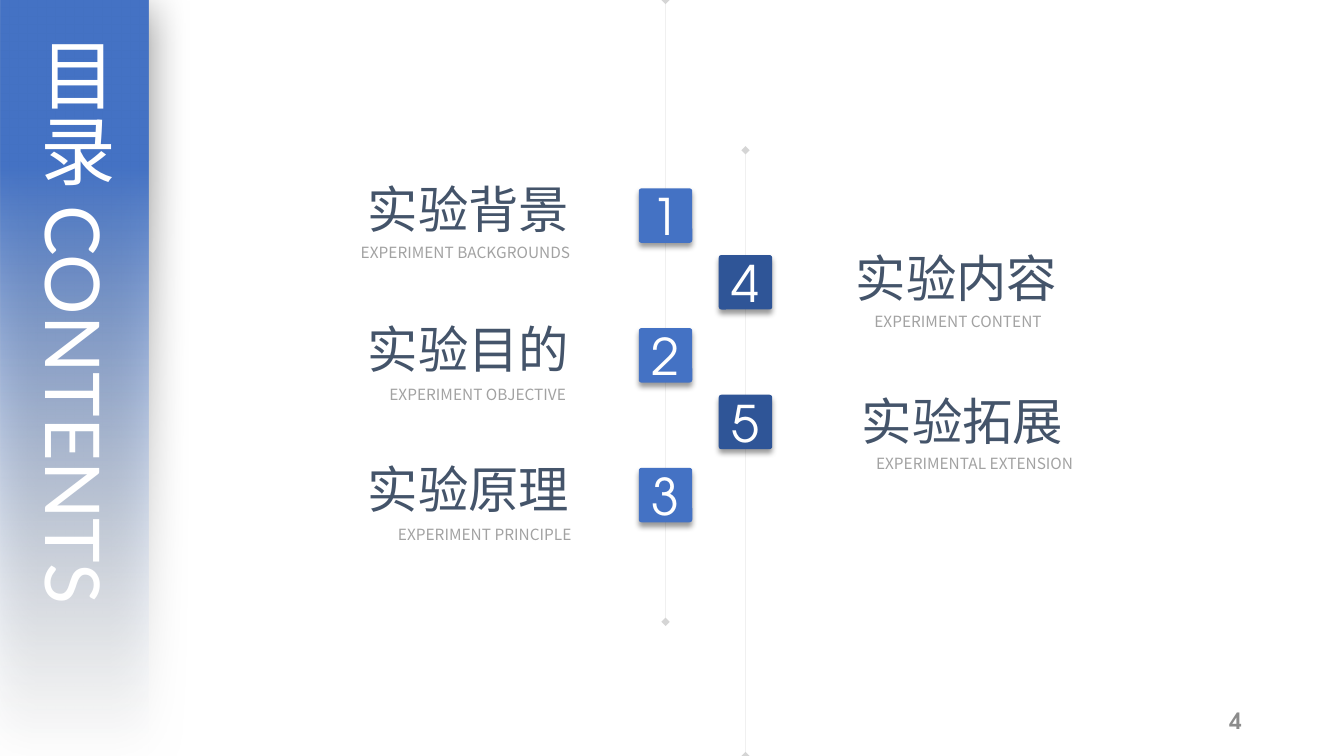
from dataclasses import dataclass

from lxml import etree
from pptx import Presentation
from pptx import util as u
from pptx.dml.color import RGBColor
from pptx.enum import shapes, text
from pptx.oxml import ns

WHITE = RGBColor(0xFF, 0xFF, 0xFF)
BLACK = RGBColor(0x00, 0x00, 0x00)
PALE = RGBColor(0xF7, 0xFA, 0xFD)
BLUE = RGBColor(0x44, 0x72, 0xC4)
DARK_BLUE = RGBColor(0x2F, 0x55, 0x97)
SLATE = RGBColor(0x44, 0x54, 0x6A)
CAPTION_GREY = RGBColor(0xA2, 0xA2, 0xA2)
NUMBER_GREY = RGBColor(0x8C, 0x8C, 0x8C)
LINE_GREY = RGBColor(0x80, 0x80, 0x80)

CHINESE = "Noto Sans CJK SC"
LATIN = "Lato"
DIGITS = "TeX Gyre Adventor"

BADGE_WIDTH, BADGE_HEIGHT = 38.2, 38.9
ROW_STEP = 99.8
HEADING_SIZE = (160, 51)
CAPTION_HEIGHT = 21


@dataclass(frozen=True)
class Column:
    axis: float
    line_top: float
    line_bottom: float
    first_badge_top: float
    colour: RGBColor


@dataclass(frozen=True)
class Entry:
    column: Column
    row: int
    number: str
    heading: str
    heading_at: tuple[float, float]
    caption: str
    caption_at: tuple[float, float]
    caption_width: float


@dataclass(frozen=True)
class Shadow:
    opacity: int
    blur: float
    distance: float
    angle: int


@dataclass(frozen=True)
class Style:
    size: float
    font: str
    colour: RGBColor
    bold: bool = False


LEFT = Column(475.4, 0, 444.2, 134.6, BLUE)
RIGHT = Column(532.5, 107.3, 540, 182.2, DARK_BLUE)
ENTRIES = (
    Entry(LEFT, 0, "1", "实验背景", (255.6, 123.4), "EXPERIMENT BACKGROUNDS", (246.2, 169.9), 172.8),
    Entry(LEFT, 1, "2", "实验目的", (255.6, 223.6), "EXPERIMENT OBJECTIVE", (269.3, 271.7), 144),
    Entry(LEFT, 2, "3", "实验原理", (255.6, 323.4), "EXPERIMENT PRINCIPLE", (275, 371.5), 142.6),
    Entry(RIGHT, 0, "4", "实验内容", (604.1, 172.8), "EXPERIMENT CONTENT", (614.2, 219.6), 140.4),
    Entry(RIGHT, 1, "5", "实验拓展", (608.4, 275), "EXPERIMENTAL EXTENSION", (614.9, 321.1), 162.7),
)
BAND_SHADOW = Shadow(50, 31, 6, 97)
BADGE_SHADOW = Shadow(40, 4, 3, 90)
HEADING = Style(36, CHINESE, SLATE)
CAPTION = Style(11, CHINESE, CAPTION_GREY)
BADGE = Style(36, DIGITS, WHITE)
PAGE_NUMBER = Style(16, DIGITS, NUMBER_GREY, bold=True)


def add_element(parent, tag: str, **attributes):
    return etree.SubElement(parent, ns.qn(tag), {key: str(value) for key, value in attributes.items()})


def set_opacity(colour_element, percent: int) -> None:
    add_element(colour_element, "a:alpha", val=percent * 1000)


def set_shadow(shape, shadow: Shadow) -> None:
    shape.shadow.inherit = False
    effects = shape._element.spPr.find(ns.qn("a:effectLst"))
    outer = add_element(
        effects, "a:outerShdw", blurRad=u.Pt(shadow.blur), dist=u.Pt(shadow.distance),
        dir=shadow.angle * 60000, algn="ctr", rotWithShape=0,
    )
    set_opacity(add_element(outer, "a:srgbClr", val=BLACK), shadow.opacity)


def add_run(paragraph, words: str, style: Style) -> None:
    run = paragraph.add_run()
    run.text = words
    run.font.size = u.Pt(style.size)
    run.font.bold = style.bold
    run.font.color.rgb = style.colour
    run.font.name = style.font
    add_element(run.font._element, "a:ea", typeface=style.font)


def add_text(slide, left: float, top: float, width: float, height: float, words: str,
             style: Style, align=text.PP_ALIGN.LEFT):
    """Add a one-line text box that grows with its text."""
    box = slide.shapes.add_textbox(u.Pt(left), u.Pt(top), u.Pt(width), u.Pt(height))
    frame = box.text_frame
    frame.word_wrap = False
    frame.auto_size = text.MSO_AUTO_SIZE.SHAPE_TO_FIT_TEXT
    paragraph = frame.paragraphs[0]
    paragraph.alignment = align
    add_run(paragraph, words, style)
    return box


def add_axis(slide, column: Column) -> None:
    axis = slide.shapes.add_connector(
        shapes.MSO_CONNECTOR.STRAIGHT, u.Pt(column.axis), u.Pt(column.line_top),
        u.Pt(column.axis), u.Pt(column.line_bottom),
    )
    axis.line.width = u.Pt(0.25)
    axis.line.color.rgb = LINE_GREY
    properties = axis._element.spPr
    line = properties.find(ns.qn("a:ln"))
    set_opacity(next(line.iter(ns.qn("a:srgbClr"))), 33)
    add_element(line, "a:headEnd", type="diamond")
    add_element(line, "a:tailEnd", type="diamond")
    add_element(properties, "a:effectLst")


def add_title_band(slide) -> None:
    """Add the fading side band, a wide bar turned upright, and its vertical title."""
    band = slide.shapes.add_shape(
        shapes.MSO_SHAPE.RECTANGLE, u.Pt(-215.8), u.Pt(215.4), u.Pt(537.4), u.Pt(105.8)
    )
    band.rotation = 90
    band.line.fill.background()
    band.fill.gradient()
    band.fill.gradient_angle = 180
    for stop, colour, position in zip(band.fill.gradient_stops, (PALE, BLUE), (0, 0.78)):
        stop.color.rgb = colour
        stop.position = position
    set_opacity(next(band._element.spPr.iter(ns.qn("a:srgbClr"))), 0)
    set_shadow(band, BAND_SHADOW)

    title = slide.shapes.add_textbox(u.Pt(10.1), u.Pt(19.4), u.Pt(80), u.Pt(504.7))
    frame = title.text_frame
    frame.word_wrap = True
    frame.auto_size = text.MSO_AUTO_SIZE.SHAPE_TO_FIT_TEXT
    frame._txBody.bodyPr.set("vert", "eaVert")
    add_run(frame.paragraphs[0], "目录 ", Style(54, CHINESE, WHITE))
    add_run(frame.paragraphs[0], "CONTENTS", Style(54, LATIN, WHITE))


def add_badge(slide, entry: Entry) -> None:
    column = entry.column
    badge = slide.shapes.add_shape(
        shapes.MSO_SHAPE.ROUNDED_RECTANGLE, u.Pt(column.axis - BADGE_WIDTH / 2),
        u.Pt(column.first_badge_top + entry.row * ROW_STEP), u.Pt(BADGE_WIDTH), u.Pt(BADGE_HEIGHT),
    )
    badge.adjustments[0] = 0.05
    badge.fill.solid()
    badge.fill.fore_color.rgb = column.colour
    badge.line.fill.background()
    set_shadow(badge, BADGE_SHADOW)
    frame = badge.text_frame
    frame.word_wrap = True
    frame.vertical_anchor = text.MSO_ANCHOR.MIDDLE
    frame.paragraphs[0].alignment = text.PP_ALIGN.CENTER
    add_run(frame.paragraphs[0], entry.number, BADGE)


def main() -> None:
    presentation = Presentation()
    presentation.slide_width = u.Pt(960)
    presentation.slide_height = u.Pt(540)
    slide = presentation.slides.add_slide(presentation.slide_layouts[6])

    for column in (RIGHT, LEFT):
        add_axis(slide, column)
    add_title_band(slide)
    for entry in ENTRIES:
        add_badge(slide, entry)
        add_text(slide, *entry.heading_at, *HEADING_SIZE, entry.heading, HEADING)
        add_text(slide, *entry.caption_at, entry.caption_width, CAPTION_HEIGHT,
                 entry.caption, CAPTION, text.PP_ALIGN.CENTER)

    number = add_text(slide, 678.2, 500.4, 216, 28.8, "4", PAGE_NUMBER, text.PP_ALIGN.RIGHT)
    number.text_frame.word_wrap = True
    number.text_frame.auto_size = text.MSO_AUTO_SIZE.NONE
    number.text_frame.vertical_anchor = text.MSO_ANCHOR.MIDDLE
    presentation.save("out.pptx")


if __name__ == "__main__":
    main()
